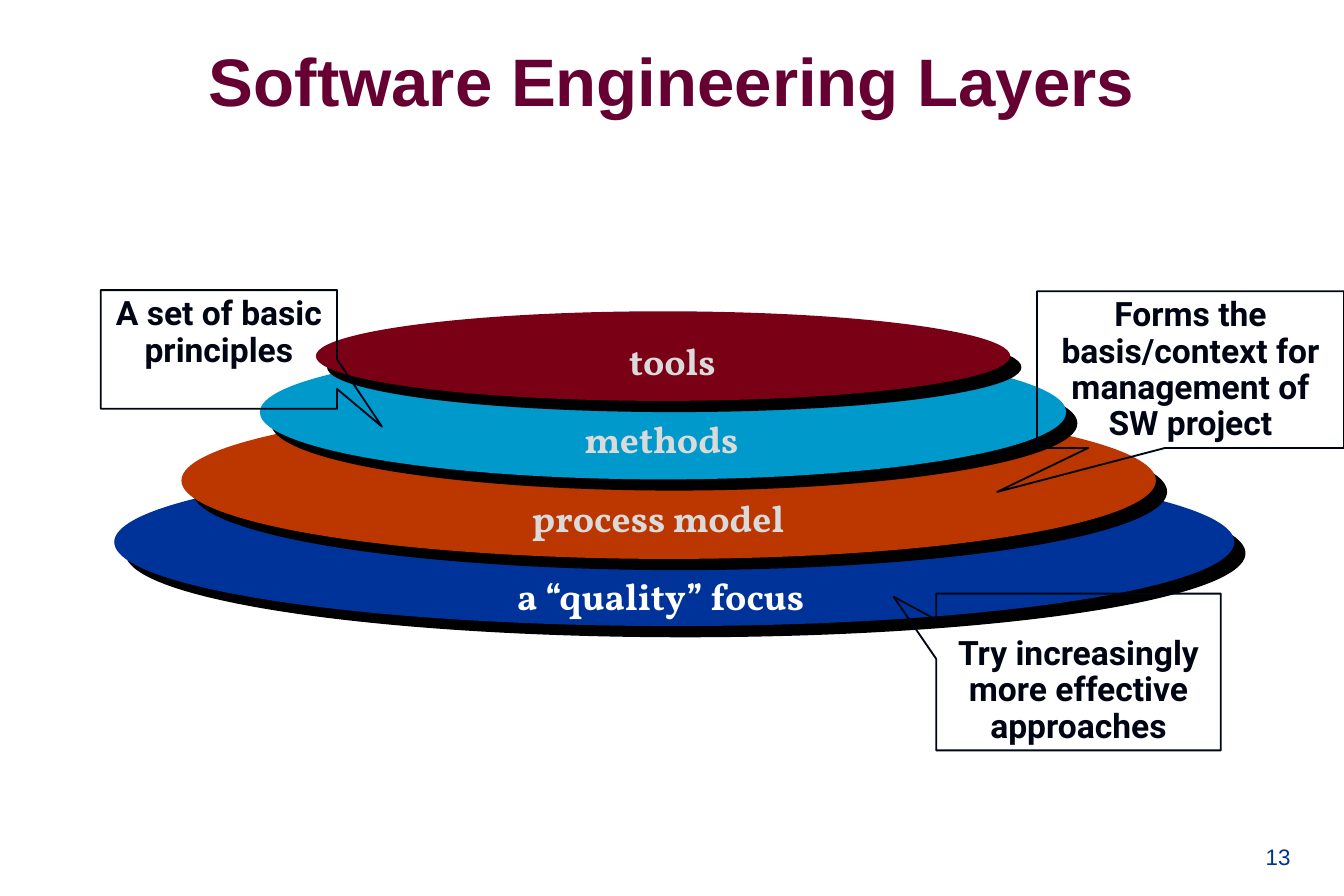
from dataclasses import dataclass

from lxml import etree
from pptx import Presentation
from pptx import util as u
from pptx.dml.color import RGBColor
from pptx.enum import shapes, text
from pptx.oxml import ns

COLS, ROWS = 120, 80
WIDTH, HEIGHT = u.Inches(10), u.Inches(6.67)
LABEL_TOP, LABEL_STEP, LABEL_HEIGHT = 50.6, 7, 5.2

COLORS = {
    "title": "660033",
    "blue": "003399",
    "orange": "BC3700",
    "cyan": "0099CC",
    "maroon": "790015",
    "white": "FFFFFF",
    "grey": "DADADA",
    "ink": "000514",
    "shadow": "000000",
}


@dataclass
class Box:
    col: float
    row: float
    cols: float
    rows: float

    def emu(self) -> tuple[int, int, int, int]:
        return (round(self.col * WIDTH / COLS), round(self.row * HEIGHT / ROWS),
                round(self.cols * WIDTH / COLS), round(self.rows * HEIGHT / ROWS))


@dataclass
class Layer:
    name: str
    disc: Box
    fill: str
    label_col: float
    label_cols: float
    ink: str = "grey"


@dataclass
class Callout:
    words: str
    box: Box
    tip: tuple[float, float]
    top_inset: float = 0.05


LAYERS = [
    Layer("a “quality” focus", Box(10.2, 40.9, 100, 15), "blue", 45, 29.3, "white"),
    Layer("process model", Box(16.2, 35.9, 87, 14), "orange", 46.3, 25.4),
    Layer("methods", Box(23.2, 30.8, 72, 12), "cyan", 51, 16.3),
    Layer("tools", Box(28.2, 27.8, 62, 8), "maroon", 55, 10.2),
]

CALLOUTS = [
    Callout("Try increasingly more effective approaches",
            Box(83.6, 53, 25.4, 14), (-0.65, -0.48), 0.32),
    Callout("Forms the basis/context for management of SW project",
            Box(92.6, 26, 27.4, 14), (-0.63, 0.78)),
    Callout("A set of basic principles",
            Box(9, 25.9, 21.1, 10.6), (0.69, 0.65)),
]


def rgb(name: str) -> RGBColor:
    return RGBColor.from_string(COLORS[name])


def write(tf, words: str, font: str, size: int, color: str, align, bold: bool = True):
    tf.text = words
    p = tf.paragraphs[0]
    p.alignment = align
    p.font.name, p.font.size, p.font.bold = font, u.Pt(size), bold
    p.font.color.rgb = rgb(color)
    return p


def add_title(s) -> None:
    sp = s.shapes.title
    sp.left, sp.top, sp.width, sp.height = Box(17.4, 3.2, 85.2, 7.9).emu()
    tf = sp.text_frame
    tf.word_wrap = False
    tf.vertical_anchor = text.MSO_ANCHOR.MIDDLE
    tf.margin_top = tf.margin_bottom = u.Inches(0.03)
    write(tf, "Software Engineering Layers", "Arial", 36, "title", text.PP_ALIGN.CENTER)


def add_number(s) -> None:
    tf = s.shapes.add_textbox(*Box(108.1, 72.8, 8.3, 5.5).emu()).text_frame
    tf.word_wrap = True
    tf.vertical_anchor = text.MSO_ANCHOR.BOTTOM
    write(tf, "13", "Arial", 12, "blue", text.PP_ALIGN.RIGHT, bold=False)


def add_disc(s, layer: Layer) -> None:
    sp = s.shapes.add_shape(shapes.MSO_SHAPE.OVAL, *layer.disc.emu())
    sp.fill.solid()
    sp.fill.fore_color.rgb = rgb(layer.fill)
    sp.line.fill.background()
    sp.shadow.inherit = False
    effects = sp._element.spPr.find(ns.qn("a:effectLst"))
    shadow = etree.SubElement(effects, ns.qn("a:outerShdw"), dist=str(u.Pt(8.5)),
                              dir=str(45 * 60000), algn="ctr", rotWithShape="0")
    etree.SubElement(shadow, ns.qn("a:srgbClr"), val=COLORS["shadow"])


def add_label(s, layer: Layer, level: int) -> None:
    box = Box(layer.label_col, LABEL_TOP - level * LABEL_STEP, layer.label_cols, LABEL_HEIGHT)
    tf = s.shapes.add_textbox(*box.emu()).text_frame
    tf.word_wrap = False
    tf.auto_size = text.MSO_AUTO_SIZE.SHAPE_TO_FIT_TEXT
    write(tf, layer.name, "Vollkorn", 20, layer.ink, text.PP_ALIGN.LEFT)


def add_callout(s, callout: Callout) -> None:
    sp = s.shapes.add_shape(shapes.MSO_SHAPE.RECTANGULAR_CALLOUT, *callout.box.emu())
    sp.adjustments[0], sp.adjustments[1] = callout.tip
    sp.fill.background()
    sp.line.color.rgb = rgb("ink")
    sp.line.width = u.Pt(1)
    sp.shadow.inherit = False
    tf = sp.text_frame
    tf.word_wrap = True
    tf.vertical_anchor = text.MSO_ANCHOR.TOP
    tf.margin_top, tf.margin_bottom = u.Inches(callout.top_inset), 0
    p = write(tf, callout.words, "Roboto", 18, "ink", text.PP_ALIGN.CENTER)
    p.line_spacing = 0.9


def main() -> None:
    prs = Presentation()
    prs.slide_width, prs.slide_height = WIDTH, HEIGHT
    s = prs.slides.add_slide(prs.slide_layouts[5])
    add_title(s)
    add_number(s)
    for layer in LAYERS:
        add_disc(s, layer)
    for level, layer in enumerate(LAYERS):
        add_label(s, layer, level)
    for callout in CALLOUTS:
        add_callout(s, callout)
    prs.save("out.pptx")


if __name__ == "__main__":
    main()
